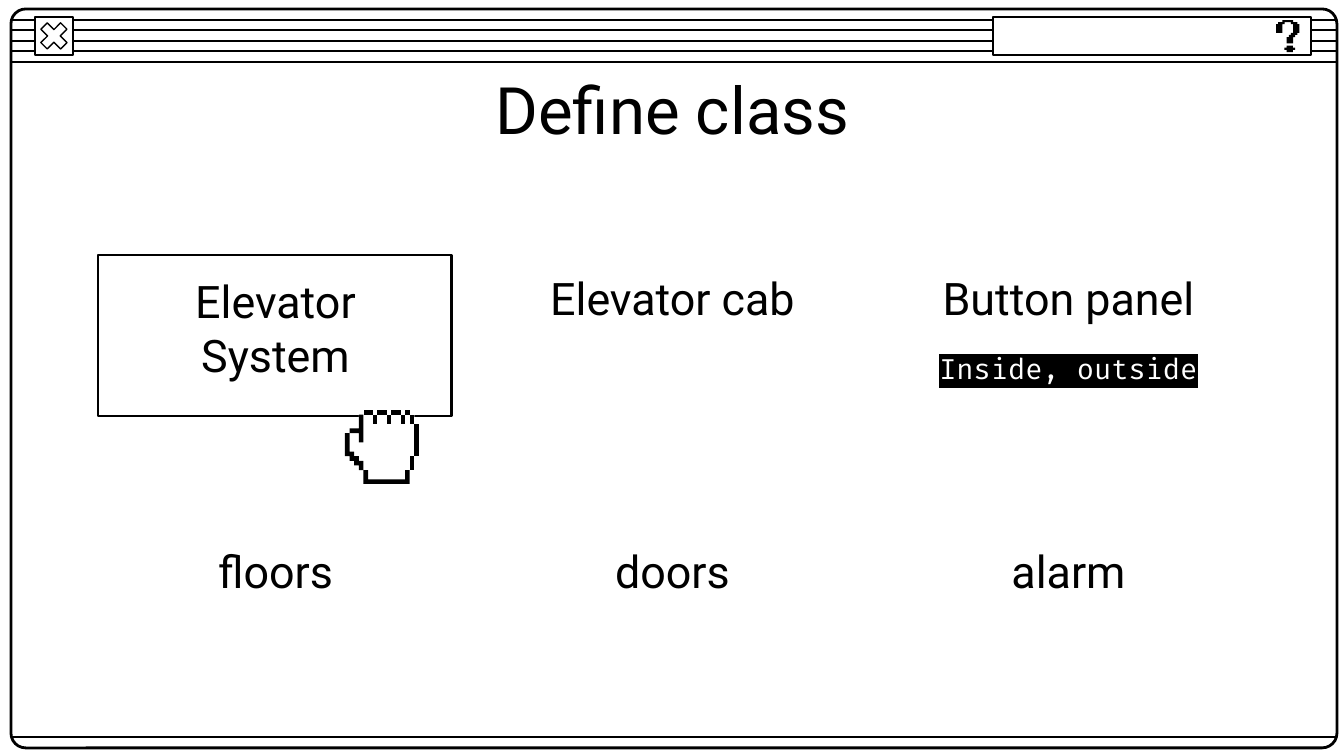
import pptx
import pptx.dml.color
import pptx.enum.shapes
import pptx.enum.text
import pptx.oxml
import pptx.oxml.ns
import pptx.util
from lxml import etree

PX = 9144000 / 1344  # EMU in one px
BLACK, WHITE = "000000", "FFFFFF"
SHAPE = pptx.enum.shapes.MSO_SHAPE

# Pixel art, in grid cells
QUESTION_HOOK = [
    (3, 0), (3, 1), (1, 1), (1, 2), (0, 2), (0, 6), (3, 6), (3, 2), (4, 2), (4, 1), (7, 1),
    (7, 2), (8, 2), (8, 6), (7, 6), (7, 7), (6, 7), (6, 8), (5, 8), (5, 11), (8, 11), (8, 8),
    (9, 8), (9, 7), (10, 7), (10, 6), (11, 6), (11, 2), (10, 2), (10, 1), (8, 1), (8, 0)]
QUESTION_DOT = [
    (5, 12), (5, 13), (4, 13), (4, 14), (5, 14), (5, 15),
    (8, 15), (8, 14), (9, 14), (9, 13), (8, 13), (8, 12)]
HAND = [
    (4, 0), (4, 1), (3, 1), (3, 4), (1, 4), (1, 5), (0, 5), (0, 10), (1, 10), (1, 11), (2, 11),
    (2, 12), (3, 12), (3, 13), (4, 13), (4, 16), (14, 16), (14, 13), (15, 13), (15, 10),
    (16, 10), (16, 3), (15, 3), (15, 1), (14, 1), (14, 0), (13, 0), (13, 1), (12, 1), (12, 0),
    (10, 0), (10, 1), (9, 1), (9, 0), (7, 0), (7, 1), (6, 1), (6, 0)]
WRIST = [(4, 13), (4, 16), (14, 16), (14, 13), (13, 13), (13, 15), (5, 15), (5, 13)]
THUMB = [(3, 1), (3, 4), (1, 4), (1, 5), (3, 5), (3, 7), (4, 7), (4, 1)]
THUMB_SIDE = [
    (0, 5), (0, 10), (1, 10), (1, 11), (2, 11), (2, 12), (3, 12), (3, 13), (4, 13),
    (4, 11), (3, 11), (3, 10), (2, 10), (2, 9), (1, 9), (1, 5)]
# Straight strokes of the hand: left, top, width, height
HAND_BARS = [(x, 1, 1, 2) for x in (6, 9, 12, 14)]
HAND_BARS += [(x, 0, 2, 1) for x in (4, 7, 10)]
HAND_BARS += [(13, 0, 1, 1), (15, 3, 1, 7), (14, 10, 1, 3)]


def px(length):
    return pptx.util.Emu(round(length * PX))


def color(hex_value):
    return pptx.dml.color.RGBColor.from_string(hex_value)


def add_box(shapes, kind, left, top, width, height, fill=None, weight=0.75, adjust=None):
    box = shapes.add_shape(kind, px(left), px(top), px(width), px(height))
    box.shadow.inherit = False
    if fill:
        box.fill.solid()
        box.fill.fore_color.rgb = color(fill)
    else:
        box.fill.background()
    box.line.color.rgb = color(BLACK)
    box.line.width = pptx.util.Pt(weight)
    if adjust is not None:
        box.adjustments[0] = adjust
    return box


def add_rule(shapes, y, left=11, right=1337):
    rule = shapes.add_connector(
        pptx.enum.shapes.MSO_CONNECTOR.STRAIGHT, px(left), px(y), px(right), px(y))
    rule.line.color.rgb = color(BLACK)
    rule.line.width = pptx.util.Pt(0.75)
    etree.SubElement(rule._element.spPr, pptx.oxml.ns.qn("a:effectLst"))


def add_pixel_art(shapes, cells, left, top, cell, fill=BLACK):
    builder = shapes.build_freeform(*cells[0], scale=cell * PX)
    builder.add_line_segments(cells[1:], close=True)
    art = builder.convert_to_shape(px(left), px(top))
    art.shadow.inherit = False
    art.fill.solid()
    art.fill.fore_color.rgb = color(fill)
    art.line.fill.background()


def add_text(shapes, text, left, top, width=339, height=71, size=24, font="Roboto",
             ink=BLACK, highlight=None):
    box = shapes.add_textbox(px(left), px(top), px(width), px(height))
    frame = box.text_frame
    frame.word_wrap = True
    frame.vertical_anchor = pptx.enum.text.MSO_ANCHOR.MIDDLE
    frame.margin_left = frame.margin_right = frame.margin_top = frame.margin_bottom = px(14)
    paragraph = frame.paragraphs[0]
    paragraph.alignment = pptx.enum.text.PP_ALIGN.CENTER
    run = paragraph.add_run()
    run.text = text
    run.font.size = pptx.util.Pt(size)
    run.font.name = font
    run.font.color.rgb = color(ink)
    if highlight:
        marker = pptx.oxml.parse_xml(
            f'<a:highlight {pptx.oxml.ns.nsdecls("a")}><a:srgbClr val="{highlight}"/></a:highlight>')
        run._r.rPr.find(pptx.oxml.ns.qn("a:solidFill")).addnext(marker)


def add_window(shapes):
    # Title bar stripes and frame
    for stripe in range(5):
        add_rule(shapes, 20 + stripe * 21 // 2)
    add_box(shapes, SHAPE.ROUNDED_RECTANGLE, 11, 9, 1326, 739, weight=1.5, adjust=0.02)

    # Close button
    close_button = shapes.add_group_shape().shapes
    add_box(close_button, SHAPE.RECTANGLE, 35, 17, 38, 38, fill=WHITE)
    add_box(close_button, SHAPE.MATH_MULTIPLY, 35, 17, 38, 38, fill=WHITE, adjust=0.235)
    add_rule(shapes, 737)

    # Help bar
    help_bar = shapes.add_group_shape().shapes
    add_box(help_bar, SHAPE.RECTANGLE, 993, 17, 318, 38, fill=WHITE)
    for part in (QUESTION_DOT, QUESTION_HOOK):
        add_pixel_art(help_bar, part, 1276, 20, 32 / 15)


def add_hand(shapes, left, top, size):
    hand = shapes.add_group_shape().shapes
    cell = size / 16
    add_pixel_art(hand, HAND, left, top, cell, fill=WHITE)
    bars = [[(x, y), (x, y + h), (x + w, y + h), (x + w, y)] for x, y, w, h in HAND_BARS]
    for stroke in [WRIST, THUMB, THUMB_SIDE] + bars:
        add_pixel_art(hand, stroke, left, top, cell)


def main():
    deck = pptx.Presentation()
    deck.slide_width, deck.slide_height = px(1344), px(756)
    shapes = deck.slides.add_slide(deck.slide_layouts[6]).shapes

    add_window(shapes)
    add_box(shapes, SHAPE.RECTANGLE, 98, 255, 354, 161, weight=1.5)
    add_text(shapes, "Define class", 106, 66, width=1133, height=85, size=35)

    # Classes in three columns
    columns = (106, 503, 899)
    upper_row = (("Elevator System", 292), ("Elevator cab", 262), ("Button panel", 262))
    for left, (name, top) in zip(columns, upper_row):
        add_text(shapes, name, left, top)
    for left, name in zip(columns, ("floors", "doors", "alarm")):
        add_text(shapes, name, left, 535)
    add_text(shapes, "Inside, outside", columns[2], 333, size=15, font="Fira Code",
             ink=WHITE, highlight=BLACK)

    # Pointer
    add_hand(shapes, 345, 410, 74)
    deck.save("out.pptx")


if __name__ == "__main__":
    main()
